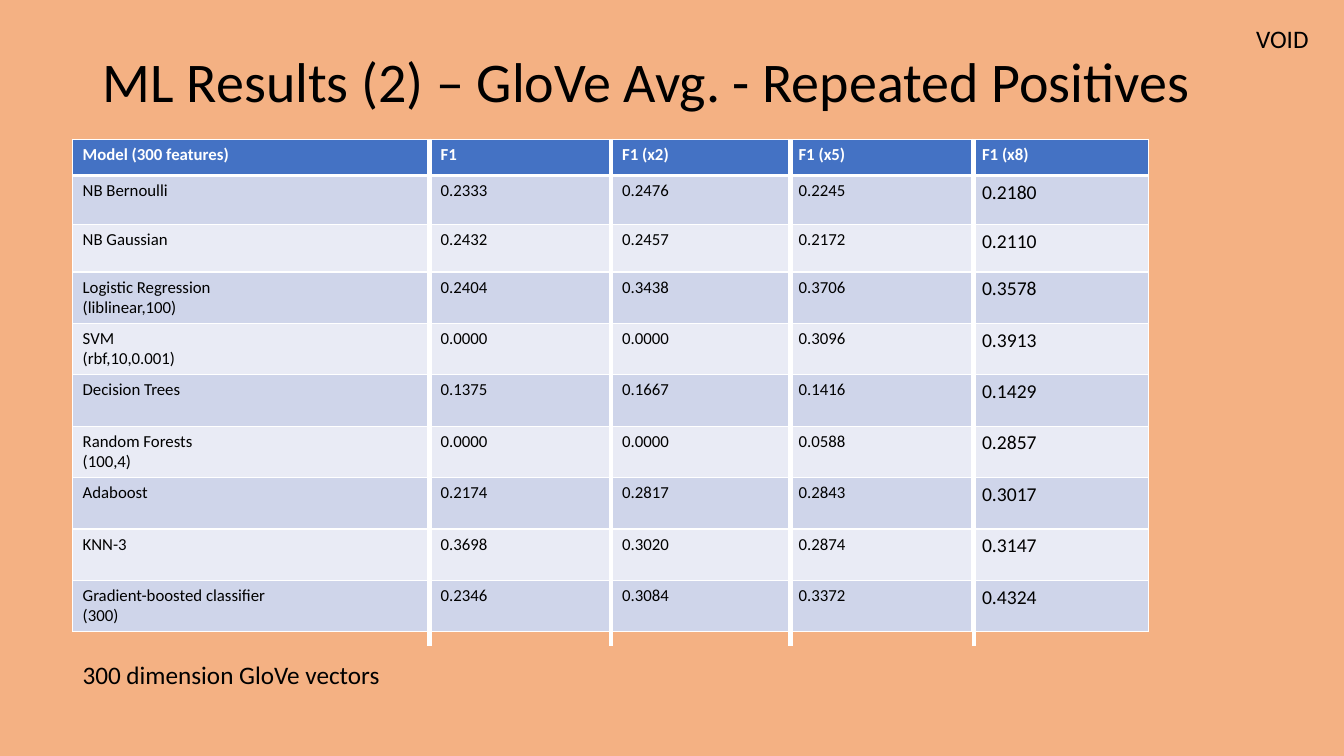
"""Build a slide comparing F1 scores of models on averaged GloVe vectors."""
from itertools import accumulate

from lxml import etree
from pptx import Presentation
from pptx.dml.color import RGBColor
from pptx.enum.shapes import MSO_CONNECTOR
from pptx.enum.text import MSO_ANCHOR, MSO_AUTO_SIZE, PP_ALIGN
from pptx.oxml.ns import qn
from pptx.util import Inches, Pt

STRAIGHT = MSO_CONNECTOR.STRAIGHT
MIDDLE = MSO_ANCHOR.MIDDLE
FIT_SHAPE, NO_FIT = MSO_AUTO_SIZE.SHAPE_TO_FIT_TEXT, MSO_AUTO_SIZE.NONE
LEFT = PP_ALIGN.LEFT

TITLE = "ML Results (2) – GloVe Avg. - Repeated Positives"
HEADER = ("Model (300 features)", "F1", "F1 (x2)", "F1 (x5)", "F1 (x8)")
RESULTS = [
    ("NB Bernoulli", "0.2333", "0.2476", "0.2245", "0.2180"),
    ("NB Gaussian", "0.2432", "0.2457", "0.2172", "0.2110"),
    ("Logistic Regression\n(liblinear,100)", "0.2404", "0.3438", "0.3706", "0.3578"),
    ("SVM\n(rbf,10,0.001)", "0.0000", "0.0000", "0.3096", "0.3913"),
    ("Decision Trees", "0.1375", "0.1667", "0.1416", "0.1429"),
    ("Random Forests\n(100,4)", "0.0000", "0.0000", "0.0588", "0.2857"),
    ("Adaboost", "0.2174", "0.2817", "0.2843", "0.3017"),
    ("KNN-3", "0.3698", "0.3020", "0.2874", "0.3147"),
    ("Gradient-boosted classifier\n(300)", "0.2346", "0.3084", "0.3372", "0.4324"),
]
LABELS = [
    ("300 dimension GloVe vectors", (0.72, 6.49, 3.18, 0.4)),
    ("VOID", (12.36, 0.18, 0.73, 0.4)),
]

THEME = {
    "font": "Calibri", "page": "F4B183", "text": "000000", "rule": "FFFFFF",
    "header": "4472C4", "header_text": "FFFFFF", "bands": ("CFD5EA", "E9EBF5"),
    "title_size": 40, "label_size": 18, "cell_size": 12, "last_size": 14,
    "thin": 1, "thick": 3,
}
PAGE_SIZE = (13.33, 7.5)
TITLE_AREA = (0.92, 0.11, 11.5, 1.45)
TABLE_LEFT, TABLE_TOP = 0.72, 1.38
COLUMNS = (3.55, 1.8, 1.75, 1.82, 1.75)
ROWS = (0.36, 0.49, 0.47) + (0.51,) * 7
RULE_SHIFTS = (-0.01, -0.01, 0.02, 0.02)
RULE_BOTTOM = 6.41


def color(name):
    return RGBColor.from_string(THEME.get(name, name))


def style(frame, size, ink="text", bold=False):
    look = {"name": THEME["font"], "size": Pt(size), "bold": bold}
    for para in frame.paragraphs:
        for span in para.runs:
            for key, value in look.items():
                setattr(span.font, key, value)
            span.font.color.rgb = color(ink)


def add_borders(cell, bottom):
    properties = cell._tc.get_or_add_tcPr()
    widths = {"lnL": THEME["thin"], "lnR": THEME["thin"], "lnT": THEME["thin"], "lnB": bottom}
    for side, width in widths.items():
        line = etree.SubElement(properties, qn(f"a:{side}"), w=str(Pt(width)))
        paint = etree.SubElement(line, qn("a:solidFill"))
        etree.SubElement(paint, qn("a:srgbClr"), val=THEME["rule"])


def add_title(page):
    box = page.shapes.title
    box.left, box.top, box.width, box.height = map(Inches, TITLE_AREA)
    frame = box.text_frame
    frame.text = TITLE
    settings = {"vertical_anchor": MIDDLE, "auto_size": NO_FIT, "word_wrap": True}
    for key, value in settings.items():
        setattr(frame, key, value)
    frame.paragraphs[0].alignment = LEFT
    frame.paragraphs[0].line_spacing = 0.9
    style(frame, THEME["title_size"])


def add_results(page):
    area = map(Inches, (TABLE_LEFT, TABLE_TOP, sum(COLUMNS), sum(ROWS)))
    table = page.shapes.add_table(len(ROWS), len(COLUMNS), *area).table
    for column, width in zip(table.columns, COLUMNS):
        column.width = Inches(width)
    for row, height in zip(table.rows, ROWS):
        row.height = Inches(height)
    for r, record in enumerate([HEADER] + RESULTS):
        heading = r == 0
        for c, words in enumerate(record):
            cell = table.cell(r, c)
            cell.text = words
            add_borders(cell, THEME["thick" if heading else "thin"])
            cell.fill.solid()
            cell.fill.fore_color.rgb = color("header" if heading else THEME["bands"][(r - 1) % 2])
            last = c == len(COLUMNS) - 1 and not heading
            size = THEME["last_size" if last else "cell_size"]
            style(cell.text_frame, size, "header_text" if heading else "text", heading)


def add_label(page, words, area):
    frame = page.shapes.add_textbox(*map(Inches, area)).text_frame
    frame.text = words
    frame.word_wrap = False
    frame.auto_size = FIT_SHAPE
    style(frame, THEME["label_size"])


def add_column_rules(page):
    for edge, shift in zip(accumulate(COLUMNS[:-1]), RULE_SHIFTS):
        x = Inches(TABLE_LEFT + edge + shift)
        rule = page.shapes.add_connector(STRAIGHT, x, Inches(TABLE_TOP), x, Inches(RULE_BOTTOM))
        rule.line.color.rgb = color("rule")
        rule.line.width = Pt(THEME["thick"])
        etree.SubElement(rule._element.spPr, qn("a:effectLst"))


def main():
    deck = Presentation()
    deck.slide_width, deck.slide_height = map(Inches, PAGE_SIZE)
    page = deck.slides.add_slide(deck.slide_layouts[5])
    page.background.fill.solid()
    page.background.fill.fore_color.rgb = color("page")
    add_title(page)
    add_results(page)
    add_column_rules(page)
    for words, area in LABELS:
        add_label(page, words, area)
    deck.save("out.pptx")


if __name__ == "__main__":
    main()
